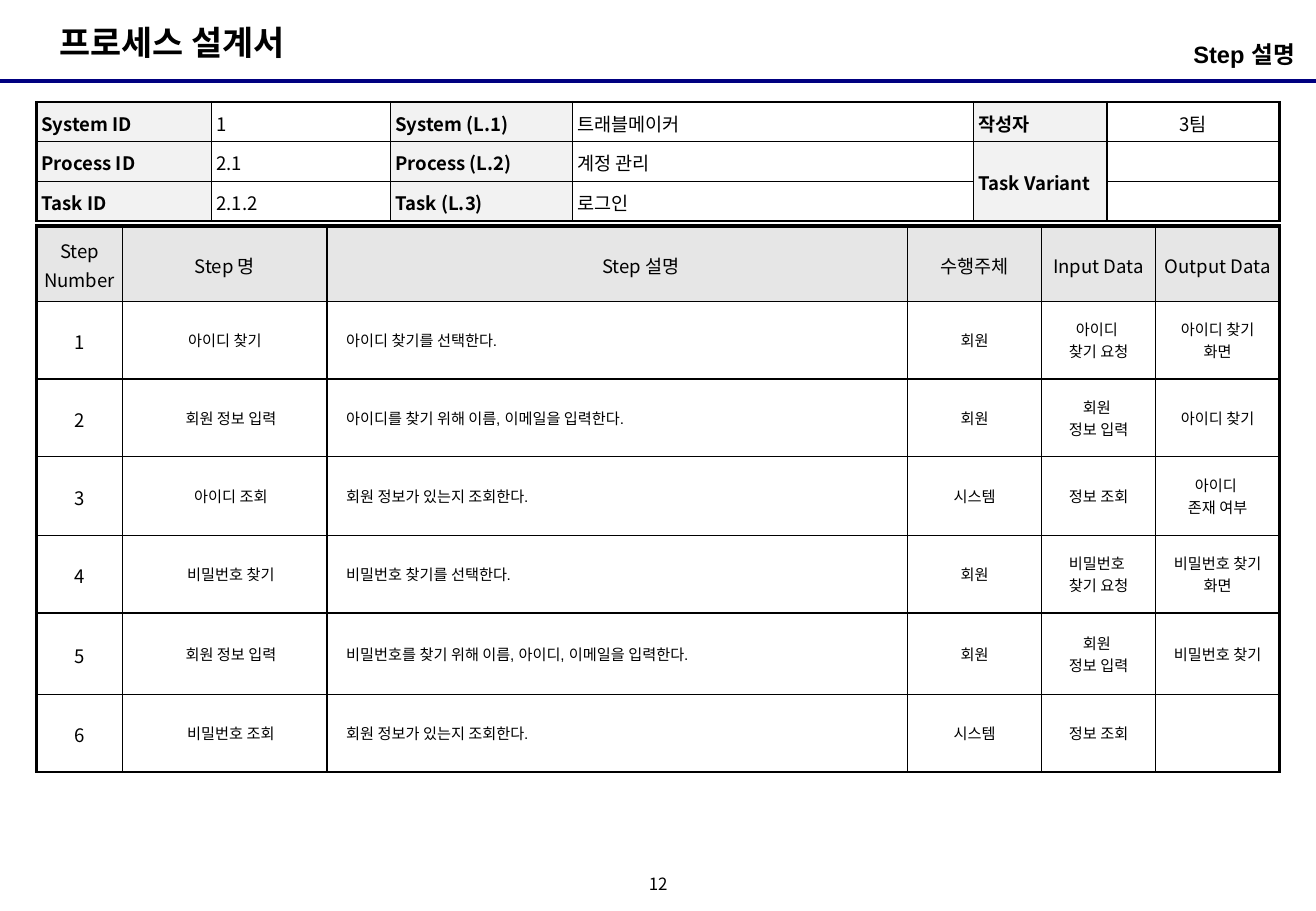
from dataclasses import dataclass

from lxml.etree import SubElement
from pptx import Presentation
from pptx.dml.color import RGBColor
from pptx.enum.shapes import MSO_CONNECTOR
from pptx.enum.text import MSO_ANCHOR, MSO_AUTO_SIZE, PP_ALIGN
from pptx.oxml import parse_xml
from pptx.oxml.ns import nsdecls, qn
from pptx.util import Inches, Length, Pt

LEFT, CENTER, RIGHT = PP_ALIGN.LEFT, PP_ALIGN.CENTER, PP_ALIGN.RIGHT
TOP, MIDDLE = MSO_ANCHOR.TOP, MSO_ANCHOR.MIDDLE
STRAIGHT, NO_FIT = MSO_CONNECTOR.STRAIGHT, MSO_AUTO_SIZE.NONE
BLACK = RGBColor(0x00, 0x00, 0x00)
NAVY = RGBColor(0x00, 0x00, 0x80)
PALE = RGBColor(0xF2, 0xF2, 0xF2)
GRAY = RGBColor(0xE6, 0xE6, 0xE6)
ARIAL, NOTO = "Arial", "Noto Sans CJK KR"
WIDTH, HEIGHT = Inches(10.83), Inches(7.5)


@dataclass
class Style:
    size: float
    face: str
    bold: bool = False
    align: PP_ALIGN = LEFT
    space: float = 1.0
    indent: float = 0


@dataclass
class Grid:
    """A table: place, columns and rows in percent of the slide, edges in points."""
    top: float
    cols: list[float]
    rows: list[float]
    pad: tuple[float, float]
    edges: tuple[float, float, float, float]  # left, right, top, bottom


INFO = Grid(11.2, [13.3, 13.6, 13.83, 30.48, 10.16, 13.1], [4.35] * 3,
            (2.9, 2.9), (1.5, 1.5, 1.5, 1.5))
STEPS = Grid(24.8, [6.56, 15.51, 44.14, 10.16, 8.68, 9.42],
             [8.27, 8.53, 8.53, 8.67, 8.53, 8.93, 8.53],
             (4.3, 2.9), (2.25, 2.25, 2.25, 1))

INFO_TEXT = [
    ["System ID", "1", "System (L.1)", "트래블메이커", "작성자", "3팀"],
    ["Process ID", "2.1", "Process (L.2)", "계정 관리", "Task Variant", ""],
    ["Task ID", "2.1.2", "Task (L.3)", "로그인", "", ""],
]
HEADS = ["Step Number", "Step 명", "Step 설명", "수행주체", "Input Data", "Output Data"]
STEP_TEXT = [
    ["아이디 찾기", "아이디 찾기를 선택한다.", "회원",
     "아이디 \n찾기 요청", "아이디 찾기\n화면"],
    ["회원 정보 입력", "아이디를 찾기 위해 이름, 이메일을 입력한다.", "회원",
     "회원 \n정보 입력", "아이디 찾기"],
    ["아이디 조회", "회원 정보가 있는지 조회한다.", "시스템",
     "정보 조회", "아이디 \n존재 여부"],
    ["비밀번호 찾기", "비밀번호 찾기를 선택한다.", "회원",
     "비밀번호 \n찾기 요청", "비밀번호 찾기\n화면"],
    ["회원 정보 입력", "비밀번호를 찾기 위해 이름, 아이디, 이메일을 입력한다.", "회원",
     "회원 \n정보 입력", "비밀번호 찾기"],
    ["비밀번호 조회", "회원 정보가 있는지 조회한다.", "시스템", "정보 조회", ""],
]


def across(share: float) -> Length:
    return Length(round(WIDTH * share / 100))


def down(share: float) -> Length:
    return Length(round(HEIGHT * share / 100))


def write(frame, text: str, style: Style) -> None:
    """Fill a text frame, one paragraph per line."""
    for i, line in enumerate(text.split("\n")):
        par = frame.add_paragraph() if i else frame.paragraphs[0]
        par.alignment, par.line_spacing = style.align, style.space
        par.space_before = Pt(0)
        props = par._p.get_or_add_pPr()
        props.set("marL", str(Pt(style.indent)))
        props.set("indent", "0")
        SubElement(props, qn("a:buNone"))
        if not line:
            SubElement(par._p, qn("a:endParaRPr"), sz=str(int(style.size * 100)))
            continue
        run = par.add_run()
        run.text = line
        font = run.font
        font.size, font.bold, font.name = Pt(style.size), style.bold, style.face
        font.color.rgb = BLACK
        SubElement(font._element, qn("a:ea"), typeface=NOTO)


def place(shape, box: tuple[float, float, float, float], pad: tuple[float, float],
          anchor: MSO_ANCHOR, text: str, style: Style) -> None:
    """Set a text shape at a box given in shares of the slide."""
    left, top, wide, high = box
    shape.left, shape.top = across(left), down(top)
    shape.width, shape.height = across(wide), down(high)
    frame = shape.text_frame
    frame.word_wrap, frame.auto_size = True, NO_FIT
    frame.vertical_anchor = anchor
    frame.margin_left = frame.margin_right = Pt(pad[0])
    frame.margin_top = frame.margin_bottom = Pt(pad[1])
    write(frame, text, style)


def add_grid(slide, grid: Grid):
    """Add a table with its sizes, padding and borders."""
    shape = slide.shapes.add_table(
        len(grid.rows), len(grid.cols), across(2.77), down(grid.top),
        across(sum(grid.cols)), down(sum(grid.rows)))
    table = shape.table
    table.first_row = table.horz_banding = False
    for col, share in zip(table.columns, grid.cols):
        col.width = across(share)
    for row, share in zip(table.rows, grid.rows):
        row.height = down(share)
    last_row, last_col = len(grid.rows) - 1, len(grid.cols) - 1
    for r, row in enumerate(table.rows):
        for c, cell in enumerate(row.cells):
            cell.margin_left = cell.margin_right = Pt(grid.pad[0])
            cell.margin_top = cell.margin_bottom = Pt(grid.pad[1])
            cell.vertical_anchor = MIDDLE
            cell.fill.background()
            outer = (c == 0, c == last_col, r == 0, r == last_row)
            for i, side in enumerate("LRTB"):
                thick = Pt(grid.edges[i] if outer[i] else 1)
                cell._tc.tcPr.insert(i, parse_xml(
                    f'<a:ln{side} {nsdecls("a")} w="{thick}"><a:solidFill>'
                    f'<a:srgbClr val="{BLACK}"/></a:solidFill></a:ln{side}>'))
    return table


def paint(cell, color: RGBColor) -> None:
    cell.fill.solid()
    cell.fill.fore_color.rgb = color


def add_info(slide) -> None:
    table = add_grid(slide, INFO)
    table.cell(1, 4).merge(table.cell(2, 4))
    for r, row in enumerate(INFO_TEXT):
        for c, text in enumerate(row):
            cell, label = table.cell(r, c), c % 2 == 0
            if label:
                paint(cell, PALE)
            if c < 4:
                cell.vertical_anchor = TOP
            write(cell.text_frame, text,
                  Style(11, NOTO, label, CENTER if c == 5 else LEFT, 1.1))


def add_steps(slide) -> None:
    table = add_grid(slide, STEPS)
    for c, text in enumerate(HEADS):
        paint(table.cell(0, c), GRAY)
        write(table.cell(0, c).text_frame, text,
              Style(11, NOTO, align=CENTER, space=1.1, indent=28 if c == 2 else 0))
    for r, row in enumerate(STEP_TEXT, 1):
        write(table.cell(r, 0).text_frame, str(r),
              Style(11, NOTO, align=CENTER, space=1.1))
        for c, text in enumerate(row, 1):
            inset = c == 2 or (c == 1 and r > 1)
            write(table.cell(r, c).text_frame, text,
                  Style(9, ARIAL, align=LEFT if c == 2 else CENTER,
                        indent=7.2 if inset else 0))


def main() -> None:
    deck = Presentation()
    deck.slide_width, deck.slide_height = WIDTH, HEIGHT
    slide = deck.slides.add_slide(deck.slide_layouts[1])

    # Heading and rule
    place(slide.shapes.title, (3.6, 1.73, 20.87, 5.87), (7.2, 3.6), TOP,
          "프로세스 설계서", Style(20, ARIAL, True))
    place(slide.placeholders[1], (68.24, 3.73, 30.56, 5.2), (0, 3.6), TOP,
          "Step 설명 ", Style(14, ARIAL, True, RIGHT))
    rule = slide.shapes.add_connector(STRAIGHT, 0, down(8.93), WIDTH, down(8.93))
    rule.line.color.rgb, rule.line.width = NAVY, Pt(2.25)
    SubElement(rule._element.spPr, qn("a:effectLst"))

    # Tables
    add_info(slide)
    add_steps(slide)

    # Page number
    place(slide.shapes.add_textbox(0, 0, 0, 0), (48.48, 95.6, 3.05, 3.33), (0, 0),
          MIDDLE, "12", Style(10, NOTO, align=CENTER, space=0.8))
    deck.save("out.pptx")


if __name__ == "__main__":
    main()
